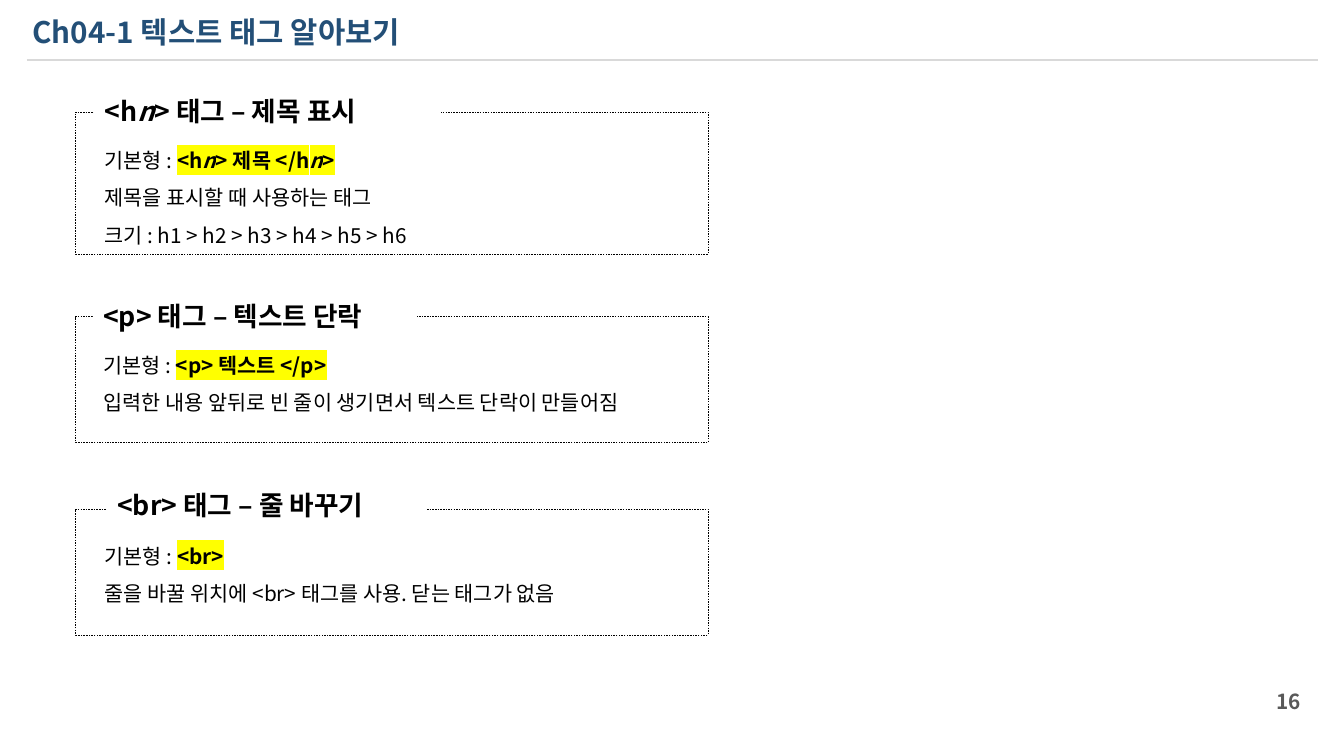
from lxml.etree import SubElement
from pptx import Presentation
from pptx.dml.color import RGBColor
from pptx.enum.dml import MSO_LINE
from pptx.enum.shapes import MSO_CONNECTOR as Connector, MSO_SHAPE as Shape
from pptx.enum.text import MSO_ANCHOR as Anchor, MSO_AUTO_SIZE as AutoSize, PP_ALIGN as Align
from pptx.oxml.ns import qn
from pptx.util import Cm, Pt

FONT = "Noto Sans CJK KR"
YELLOW = "FFFF00"
FRAME_LEFT, FRAME_WIDTH = 1.8, 15.06

# Run styles: (bold, italic, highlight)
PLAIN = (False, False, None)
BOLD = (True, False, None)
BOLD_ITALIC = (True, True, None)
MARK = (True, False, YELLOW)
MARK_ITALIC = (True, True, YELLOW)

# Each section: frame (top, height), heading (left, top, width, runs),
# body (left, top, width, height, paragraphs of runs)
SECTIONS = [
    ((2.67, 3.38),
     (2.24, 2.13, 8.26, [("<h", BOLD), ("n", BOLD_ITALIC), ("> 태그 – 제목 표시", BOLD)]),
     (2.24, 3.1, 12.5, 2.84, [
         [("기본형 : ", PLAIN), ("<h", MARK), ("n", MARK_ITALIC),
          ("> 제목 </h", MARK), ("n", MARK_ITALIC), (">", MARK)],
         [("제목을 표시할 때 사용하는 태그", PLAIN)],
         [("크기 : h1 > h2 > h3 > h4 > h5 > h6", PLAIN)]])),
    ((7.54, 3),
     (2.21, 7.01, 7.72, [("<p> 태그 – 텍스트 단락", BOLD)]),
     (2.21, 7.98, 15.44, 1.93, [
         [("기본형 : ", PLAIN), ("<p> 텍스트 </p>", MARK)],
         [("입력한 내용 앞뒤로 빈 줄이 생기면서 텍스트 단락이 만들어짐", PLAIN)]])),
    ((12.12, 3),
     (2.54, 11.51, 7.62, [("<br> 태그 – 줄 바꾸기", BOLD)]),
     (2.24, 12.52, 14.33, 1.93, [
         [("기본형 : ", PLAIN), ("<br>", MARK)],
         [("줄을 바꿀 위치에 <br> 태그를 사용. 닫는 태그가 없음", PLAIN)]])),
]


def color(value):
    return RGBColor.from_string(value)


def add_span(para, text, size, style=BOLD, ink="000000"):
    bold, italic, highlight = style
    span = para.add_run()
    span.text = text
    font = span.font
    font.name, font.size, font.bold, font.italic = FONT, Pt(size), bold, italic
    font.color.rgb = color(ink)
    props = span._r.get_or_add_rPr()
    if highlight:
        mark = SubElement(props, qn("a:highlight"))
        SubElement(mark, qn("a:srgbClr"), val=highlight)
        props.find(qn("a:solidFill")).addnext(mark)
    SubElement(props, qn("a:ea"), typeface=FONT)


def set_frame(box, anchor=Anchor.TOP, auto_size=AutoSize.SHAPE_TO_FIT_TEXT):
    frame = box.text_frame
    frame.word_wrap = True
    frame.auto_size = auto_size
    frame.vertical_anchor = anchor
    return frame


def add_text(shapes, left, top, width, height, paragraphs, size, spacing=1.0):
    box = shapes.add_textbox(Cm(left), Cm(top), Cm(width), Cm(height))
    frame = set_frame(box)
    for index, spans in enumerate(paragraphs):
        para = frame.add_paragraph() if index else frame.paragraphs[0]
        para.line_spacing = spacing
        for text, style in spans:
            add_span(para, text, size, style)
    return box


def add_section(page, frame, heading, body):
    shapes = page.shapes.add_group_shape().shapes
    # Dashed outline
    top, height = frame
    outline = shapes.add_shape(Shape.RECTANGLE, Cm(FRAME_LEFT), Cm(top),
                               Cm(FRAME_WIDTH), Cm(height))
    outline.shadow.inherit = False
    outline.fill.background()
    outline.line.color.rgb = color("000000")
    outline.line.width = Pt(0.25)
    outline.line.dash_style = MSO_LINE.DASH
    # Heading covering part of the outline
    left, top, width, spans = heading
    label = add_text(shapes, left, top, width, 1.02, [spans], 18)
    label.fill.solid()
    label.fill.fore_color.rgb = color("FFFFFF")
    # Explanation
    add_text(shapes, *body, 14, 1.5)


def add_rule(page):
    rule = page.shapes.add_connector(Connector.STRAIGHT, Cm(0.64), Cm(1.42), Cm(31.39), Cm(1.42))
    rule.line.color.rgb = color("D9D9D9")
    rule.line.width = Pt(1.5)
    SubElement(rule._element.spPr, qn("a:effectLst"))


def add_title(page, text):
    title = page.shapes.title
    title.left, title.top, title.width, title.height = Cm(0.51), Cm(0.2), Cm(30.12), Cm(1.12)
    para = set_frame(title).paragraphs[0]
    para.alignment = Align.LEFT
    add_span(para, text, 20, ink="234F77")


def add_page_number(page, number):
    box = page.shapes.add_textbox(Cm(28.83), Cm(16.21), Cm(2.39), Cm(0.97))
    para = set_frame(box, Anchor.MIDDLE, AutoSize.NONE).paragraphs[0]
    para.alignment = Align.RIGHT
    add_span(para, number, 14, ink="595959")


def main():
    deck = Presentation()
    deck.slide_width, deck.slide_height = Cm(32), Cm(18)
    page = deck.slides.add_slide(deck.slide_layouts[5])
    add_rule(page)
    add_page_number(page, "16")
    add_title(page, "Ch04-1 텍스트 태그 알아보기")
    for section in SECTIONS:
        add_section(page, *section)
    deck.save("out.pptx")


if __name__ == "__main__":
    main()
